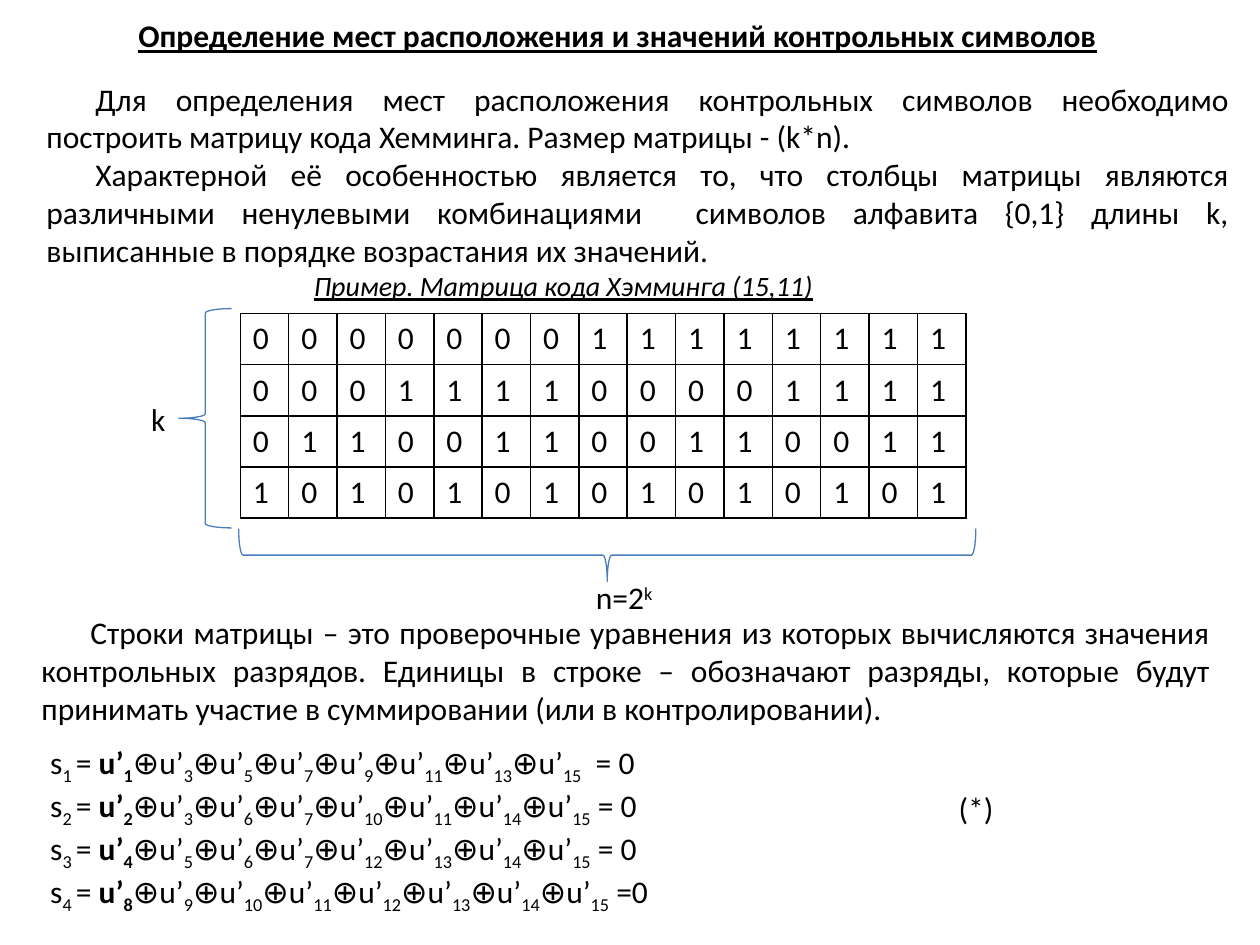
from lxml.etree import SubElement
from pptx import Presentation
from pptx.dml.color import RGBColor
from pptx.enum.shapes import MSO_SHAPE
from pptx.enum.text import MSO_ANCHOR, MSO_AUTO_SIZE, PP_ALIGN
from pptx.oxml.ns import qn
from pptx.util import Pt

FONT = "Calibri"
BLACK = "000000"
BRACE_BLUE = "4B7EBC"
CHECK_ROWS = 4
CODE_LENGTH = 15
TITLE = "Определение мест расположения и значений контрольных символов"
INTRO = [
    "Для определения мест расположения контрольных символов необходимо построить "
    "матрицу кода Хемминга. Размер матрицы - (k*n).",
    "Характерной её особенностью является то, что столбцы матрицы являются "
    "различными ненулевыми комбинациями  символов алфавита {0,1} длины k, "
    "выписанные в порядке возрастания их значений.",
]
EXPLANATION = [
    "Строки матрицы – это проверочные уравнения из которых вычисляются значения "
    "контрольных разрядов. Единицы в строке – обозначают разряды, которые будут "
    "принимать участие в суммировании (или в контролировании).",
]
EQUATION_ENDINGS = ["  = 0", " = 0", " = 0", " =0"]


def color(value):
    return RGBColor.from_string(value)


def format_span(span, size=18, bold=False, italic=False, underline=False, baseline=0):
    font = span.font
    font.name = FONT
    font.size = Pt(size)
    font.bold = bold
    font.italic = italic
    font.underline = underline
    font.color.rgb = color(BLACK)
    if baseline:
        span._r.get_or_add_rPr().set("baseline", str(baseline * 1000))


def add_span(para, text, **style):
    span = para.add_run()
    span.text = text
    format_span(span, **style)


def add_title(page, text, left, top, width, height):
    title = page.shapes.title
    title.left, title.top, title.width, title.height = map(Pt, (left, top, width, height))
    frame = title.text_frame
    frame.text = text
    frame.auto_size = MSO_AUTO_SIZE.NONE
    frame.word_wrap = False
    frame.vertical_anchor = MSO_ANCHOR.TOP
    para = frame.paragraphs[0]
    para.alignment = PP_ALIGN.CENTER
    format_span(para.runs[0], bold=True, underline=True)


def add_text(page, lines, left, top, width, height, align=PP_ALIGN.LEFT,
             wrap=False, indent=0, **style):
    box = page.shapes.add_textbox(Pt(left), Pt(top), Pt(width), Pt(height))
    frame = box.text_frame
    frame.word_wrap = wrap
    frame.text = "\n".join(lines)
    for para in frame.paragraphs:
        para.alignment = align
        if indent:
            para._p.get_or_add_pPr().set("indent", str(Pt(indent)))
        for span in para.runs:
            format_span(span, **style)
    return frame


def add_brace(page, left, top, width, height, rotation=0):
    brace = page.shapes.add_shape(
        MSO_SHAPE.LEFT_BRACE, Pt(left), Pt(top), Pt(width), Pt(height))
    brace.rotation = rotation
    brace.shadow.inherit = False
    brace.fill.background()
    brace.line.color.rgb = color(BRACE_BLUE)
    brace.line.width = Pt(0.75)


def add_borders(cell):
    properties = cell._tc.get_or_add_tcPr()
    for side in ("a:lnL", "a:lnR", "a:lnT", "a:lnB"):
        line = SubElement(properties, qn(side), w=str(Pt(1)))
        fill = SubElement(line, qn("a:solidFill"))
        SubElement(fill, qn("a:srgbClr"), val=BLACK)


def add_matrix(page, left, top, width, height):
    table = page.shapes.add_table(
        CHECK_ROWS, CODE_LENGTH, Pt(left), Pt(top), Pt(width), Pt(height)).table
    table.first_row = False
    table.horz_banding = False
    for column in table.columns:
        column.width = Pt(width / CODE_LENGTH)
    for row_index, row in enumerate(table.rows):
        row.height = Pt(height / CHECK_ROWS)
        for position, cell in enumerate(row.cells, start=1):
            cell.text = str(position >> (CHECK_ROWS - 1 - row_index) & 1)
            format_span(cell.text_frame.paragraphs[0].runs[0])
            add_borders(cell)
            cell.fill.background()


def add_equations(page, left, top, width, height):
    frame = add_text(page, [""] * CHECK_ROWS, left, top, width, height)
    for bit, (para, ending) in enumerate(zip(frame.paragraphs, EQUATION_ENDINGS)):
        add_span(para, "s")
        add_span(para, f"{bit + 1} ", baseline=-25)
        add_span(para, "= ")
        control, *others = [n for n in range(1, CODE_LENGTH + 1) if n >> bit & 1]
        add_span(para, "u’", bold=True)
        add_span(para, str(control), bold=True, baseline=-25)
        for position in others:
            add_span(para, "⊕u’")
            add_span(para, str(position), baseline=-25)
        add_span(para, ending)


def main():
    deck = Presentation()
    deck.slide_width, deck.slide_height = Pt(720), Pt(540)
    page = deck.slides.add_slide(deck.slide_layouts[5])

    add_title(page, TITLE, 70.5, 5.8, 565, 29)
    add_text(page, INTRO, 19.5, 42, 690, 117,
             align=PP_ALIGN.JUSTIFY, wrap=True, indent=28)
    add_text(page, ["Пример. Матрица кода Хэмминга (15,11)"], 165, 150, 314, 27,
             align=PP_ALIGN.CENTER, wrap=True, size=16, italic=True, underline=True)

    add_matrix(page, 137.3, 179.2, 414.6, 116.8)
    add_brace(page, 102.2, 176.4, 30.2, 125.3)
    add_brace(page, 331.9, 106.6, 30.2, 421.2, rotation=270)
    add_text(page, ["k"], 79.2, 224.8, 23, 29)
    length_label = add_text(page, ["n=2"], 333.4, 327, 48, 29)
    add_span(length_label.paragraphs[0], "k", baseline=30)

    add_text(page, EXPLANATION, 16.6, 347, 682, 73,
             align=PP_ALIGN.JUSTIFY, wrap=True, indent=28)
    add_equations(page, 21.6, 421.2, 368.6, 94.3)
    add_text(page, ["(*)"], 540.7, 447.1, 34.6, 29)
    deck.save("out.pptx")


if __name__ == "__main__":
    main()
